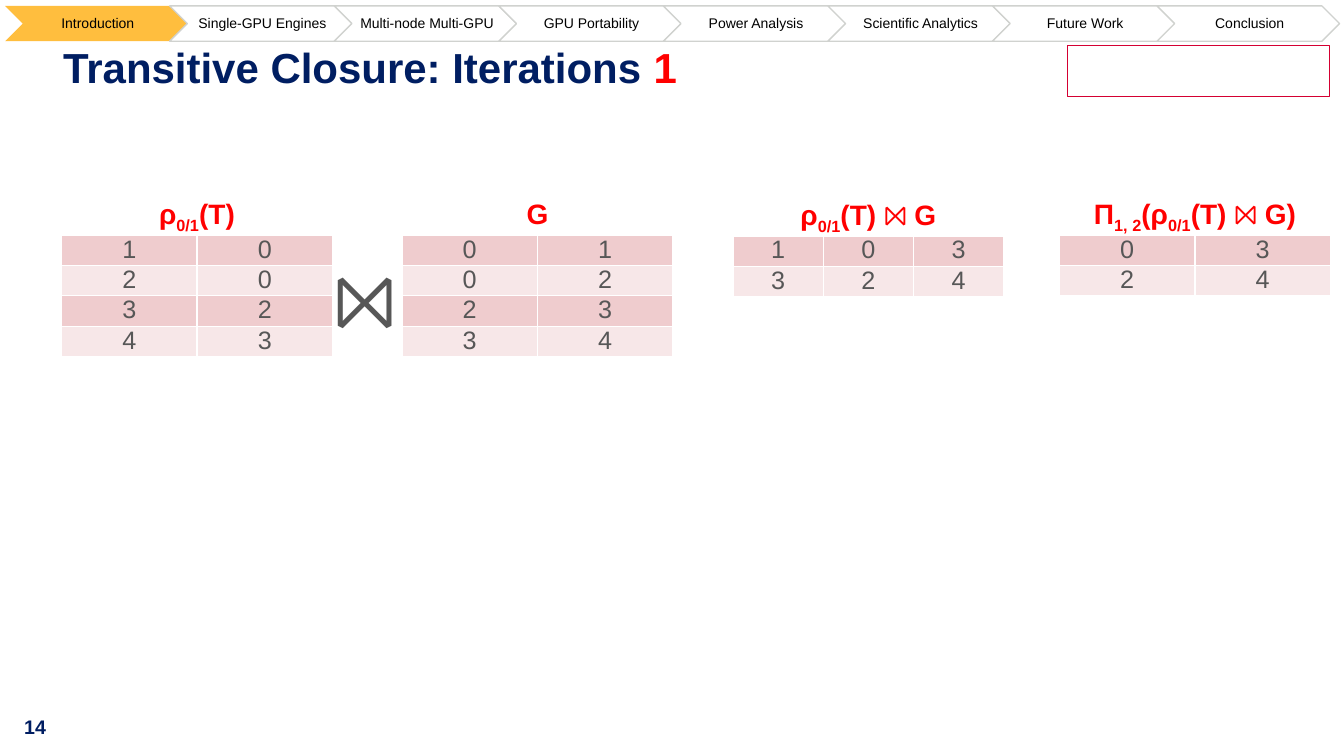
from lxml import etree
from pptx import Presentation
from pptx.dml.color import RGBColor
from pptx.enum.shapes import MSO_SHAPE
from pptx.enum.text import MSO_ANCHOR, PP_ALIGN
from pptx.oxml.ns import qn
from pptx.util import Cm, Pt

CHEVRON, RECTANGLE = MSO_SHAPE.CHEVRON, MSO_SHAPE.RECTANGLE
TOP, MIDDLE = MSO_ANCHOR.TOP, MSO_ANCHOR.MIDDLE
LEFT, CENTER = PP_ALIGN.LEFT, PP_ALIGN.CENTER

HEX = {
    "navy": "001E62", "red": "FF0000", "gray": "575757", "black": "000000",
    "white": "FFFFFF", "amber": "FFBE3E", "outline": "D0D2CF",
    "crimson": "D40032", "odd_row": "EFCCCE", "even_row": "F7E7E8",
}
COLORS = {name: RGBColor.from_string(value) for name, value in HEX.items()}


def write(frame, parts, size, color, bold=False, align=CENTER, spacing=1.0, **layout):
    for name, value in {"word_wrap": True, **layout}.items():
        setattr(frame, name, value)
    paragraph = frame.paragraphs[0]
    paragraph.alignment = align
    paragraph.line_spacing = spacing
    for text, kind in parts:
        run = paragraph.add_run()
        run.text = text
        font_format = {"name": "Arial", "size": Pt(size), "bold": bold}
        for name, value in font_format.items():
            setattr(run.font, name, value)
        run.font.color.rgb = COLORS["red" if kind == "accent" else color]
        if kind == "sub":
            run.font._element.set("baseline", "-25000")


def add_border(cell):
    properties = cell._tc.get_or_add_tcPr()
    for index, side in enumerate(("lnL", "lnR", "lnT", "lnB")):
        line = etree.Element(qn("a:" + side), w=str(Pt(1)))
        fill = etree.SubElement(line, qn("a:solidFill"))
        etree.SubElement(fill, qn("a:srgbClr"), val=HEX["white"])
        properties.insert(index, line)


prs = Presentation()
prs.slide_width, prs.slide_height = Cm(33.87), Cm(19.05)
slide = prs.slides.add_slide(prs.slide_layouts[6])
shapes = slide.shapes

page_number = shapes.add_textbox(Cm(0.36), Cm(17.88), Cm(1.68), Cm(0.86))
write(page_number.text_frame, [("14", "")], 14, "navy", bold=True, align=LEFT)

title = shapes.add_textbox(Cm(1.59), Cm(1.19), Cm(30.68), Cm(2.26))
write(title.text_frame, [("Transitive Closure: Iterations ", ""), ("1", "accent")],
      30, "navy", bold=True, align=LEFT, spacing=0.9, vertical_anchor=TOP,
      margin_left=0, margin_right=0, margin_top=0, margin_bottom=0)

relation_width = 6.83
relations = [
    (1.55, 4.83, 0.71, [("ρ", ""), ("0/1", "sub"), ("(T)", "")],
     ["10", "20", "32", "43"]),
    (10.13, 4.83, 0.71, [("G", "")],
     ["01", "02", "23", "34"]),
    (18.47, 4.85, 0.76, [("ρ", ""), ("0/1", "sub"), ("(T) ⨝ G", "")],
     ["103", "324"]),
    (26.7, 4.83, 0.76,
     [("Π", ""), ("1, 2", "sub"), ("(ρ", ""), ("0/1", "sub"), ("(T) ⨝ G)", "")],
     ["03", "24"]),
]
for left, top, row_height, heading, tuples in relations:
    label = shapes.add_textbox(Cm(left), Cm(top), Cm(relation_width), Cm(1.12))
    write(label.text_frame, heading, 20, "red", bold=True)

    column_count = len(tuples[0])
    relation = shapes.add_table(
        len(tuples), column_count, Cm(left), Cm(top + 1.1),
        Cm(relation_width), Cm(row_height * len(tuples))).table
    relation.first_row = False
    for row_index, values in enumerate(tuples):
        for column_index, value in enumerate(values):
            cell = relation.cell(row_index, column_index)
            cell.margin_top = cell.margin_bottom = 0
            cell.fill.solid()
            cell.fill.fore_color.rgb = COLORS["even_row" if row_index % 2 else "odd_row"]
            write(cell.text_frame, [(value, "")], 18, "gray")
            add_border(cell)

join_sign = shapes.add_textbox(Cm(7.8), Cm(6.22), Cm(2.79), Cm(2.57))
write(join_sign.text_frame, [("⨝", "")], 54, "gray")

empty_frame = shapes.add_shape(RECTANGLE, Cm(26.9), Cm(1.14), Cm(6.6), Cm(1.3))
empty_frame.shadow.inherit = False
empty_frame.fill.background()
empty_frame.line.color.rgb = COLORS["crimson"]
empty_frame.line.width = Pt(1)

sections = [
    "Introduction", "Single-GPU Engines", "Multi-node Multi-GPU", "GPU Portability",
    "Power Analysis", "Scientific Analytics", "Future Work", "Conclusion",
]
current_section = "Introduction"
for index, section in enumerate(sections):
    step = shapes.add_shape(CHEVRON, Cm(0.13 + 4.147 * index), Cm(0.15), Cm(4.6), Cm(0.89))
    step.shadow.inherit = False
    step.fill.solid()
    if section == current_section:
        step.fill.fore_color.rgb = COLORS["amber"]
        step.line.fill.background()
    else:
        step.fill.fore_color.rgb = COLORS["white"]
        step.line.color.rgb = COLORS["outline"]
        step.line.width = Pt(1)
    write(step.text_frame, [(section, "")], 10, "black", spacing=0.9,
          vertical_anchor=MIDDLE, margin_left=Cm(0.1), margin_right=Cm(0.03),
          margin_top=Cm(0.03), margin_bottom=Cm(0.03))

prs.save("out.pptx")
